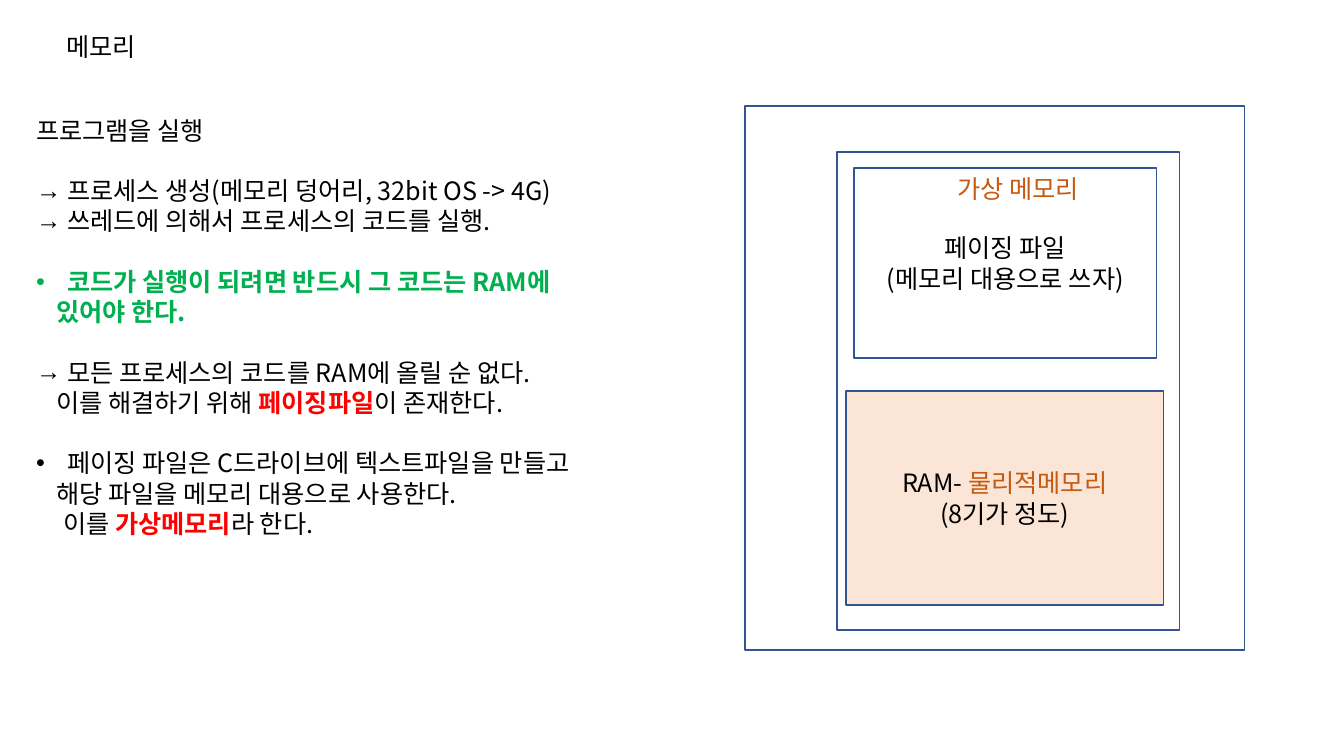
from lxml.etree import SubElement
from pptx import Presentation
from pptx.dml.color import RGBColor
from pptx.enum.shapes import MSO_SHAPE as Shape
from pptx.enum.text import MSO_ANCHOR as Anchor, MSO_AUTO_SIZE as AutoSize, PP_ALIGN as Align
from pptx.oxml.ns import qn
from pptx.util import Inches, Pt

PX = Inches(1) / 100.8
FONT = "Noto Sans CJK KR"
BLACK = RGBColor(0x00, 0x00, 0x00)
GREEN = RGBColor(0x00, 0xB0, 0x50)
RED = RGBColor(0xFF, 0x00, 0x00)
ORANGE = RGBColor(0xC5, 0x5A, 0x11)
PEACH = RGBColor(0xFB, 0xE5, 0xD6)
BLUE = RGBColor(0x32, 0x54, 0x91)

HANG = 31
BLANK_LINE = Pt(21.6)

# marker, left indent, starts a group, base colour, runs
NOTES = [
    (None, 0, False, BLACK, ["프로그램을 실행"]),
    ("→", HANG, True, BLACK, ["프로세스 생성(메모리 덩어리, 32bit OS -> 4G)"]),
    ("→", HANG, False, BLACK, ["쓰레드에 의해서 프로세스의 코드를 실행."]),
    ("•", HANG, True, GREEN, ["코드가 실행이 되려면 반드시 그 코드는 RAM에"]),
    (None, 20, False, GREEN, ["있어야 한다."]),
    ("→", HANG, True, BLACK, ["모든 프로세스의 코드를 RAM에 올릴 순 없다."]),
    (None, 20, False, BLACK, ["이를 해결하기 위해 ", ("페이징파일", RED), "이 존재한다."]),
    ("•", HANG, True, BLACK, ["페이징 파일은 C드라이브에 텍스트파일을 만들고"]),
    (None, 20, False, BLACK, ["해당 파일을 메모리 대용으로 사용한다."]),
    (None, 27, False, BLACK, ["이를 ", ("가상메모리", RED), "라 한다."]),
]


def px(length):
    return round(length * PX)


def place(shape, left, top, width, height):
    shape.left, shape.top = px(left), px(top)
    shape.width, shape.height = px(width), px(height)


def write(paragraph, runs, color=BLACK, align=Align.LEFT):
    paragraph.alignment = align
    font = paragraph.font
    font.name, font.size = FONT, Pt(18)
    font.bold = color == GREEN
    font.color.rgb = color
    defaults = paragraph._p.pPr.find(qn("a:defRPr"))
    SubElement(defaults, qn("a:ea"), typeface=FONT)
    for part in runs:
        run = paragraph.add_run()
        if isinstance(part, str):
            run.text = part
        else:
            run.text, run.font.color.rgb = part
            run.font.bold = part[1] == RED


def set_marker(paragraph, marker, indent):
    properties = paragraph._p.get_or_add_pPr()
    properties.set("marL", str(px(indent)))
    properties.set("indent", str(-px(HANG) if marker else 0))
    if marker:
        SubElement(properties, qn("a:buFont"), typeface="Arial")
        SubElement(properties, qn("a:buChar"), char=marker)
    else:
        SubElement(properties, qn("a:buNone"))


def add_title(slide, left, top, width, height):
    title = slide.shapes.title
    place(title, left, top, width, height)
    frame = title.text_frame
    frame.word_wrap = False
    frame.auto_size = AutoSize.NONE
    frame.vertical_anchor = Anchor.TOP
    write(frame.paragraphs[0], ["메모리"])


def add_notes(slide, left, top, width, height):
    body = slide.placeholders[1]
    place(body, left, top, width, height)
    frame = body.text_frame
    frame.word_wrap = True
    frame.auto_size = AutoSize.NONE
    frame.vertical_anchor = Anchor.TOP
    for index, (marker, indent, starts_group, color, runs) in enumerate(NOTES):
        paragraph = frame.paragraphs[0] if index == 0 else frame.add_paragraph()
        set_marker(paragraph, marker, indent)
        paragraph.space_before = BLANK_LINE if starts_group else Pt(0)
        write(paragraph, runs, color)


def add_box(slide, left, top, width, height, lines=(), fill=None):
    box = slide.shapes.add_shape(Shape.RECTANGLE, 0, 0, 0, 0)
    place(box, left, top, width, height)
    box.shadow.inherit = False
    box.line.color.rgb = BLUE
    box.line.width = Pt(1)
    if fill is None:
        box.fill.background()
    else:
        box.fill.solid()
        box.fill.fore_color.rgb = fill
    frame = box.text_frame
    frame.vertical_anchor = Anchor.MIDDLE
    for index, runs in enumerate(lines):
        paragraph = frame.paragraphs[0] if index == 0 else frame.add_paragraph()
        write(paragraph, runs, align=Align.CENTER)


def add_memory_diagram(slide, left, top, width, height):
    add_box(slide, left, top, width, height)
    add_box(slide, left + 92, top + 46, 342, 478)
    label = slide.shapes.add_textbox(0, 0, 0, 0)
    place(label, left + 195, top + 62, 156, 40)
    label.text_frame.word_wrap = False
    write(label.text_frame.paragraphs[0], ["가상 메모리"], ORANGE, Align.CENTER)
    add_box(slide, left + 101, top + 285, 317, 214,
            [["RAM- ", ("물리적메모리", ORANGE)], ["(8기가 정도)"]], PEACH)
    add_box(slide, left + 109, top + 62, 302, 190,
            [["페이징 파일"], ["(메모리 대용으로 쓰자)"]])


def main():
    presentation = Presentation()
    presentation.slide_width = Inches(13.33)
    presentation.slide_height = Inches(7.5)
    slide = presentation.slides.add_slide(presentation.slide_layouts[1])
    add_title(slide, 56, 26, 97, 40)
    add_notes(slide, 26, 110, 616, 437)
    add_memory_diagram(slide, 745, 106, 499, 544)
    presentation.save("out.pptx")


if __name__ == "__main__":
    main()
